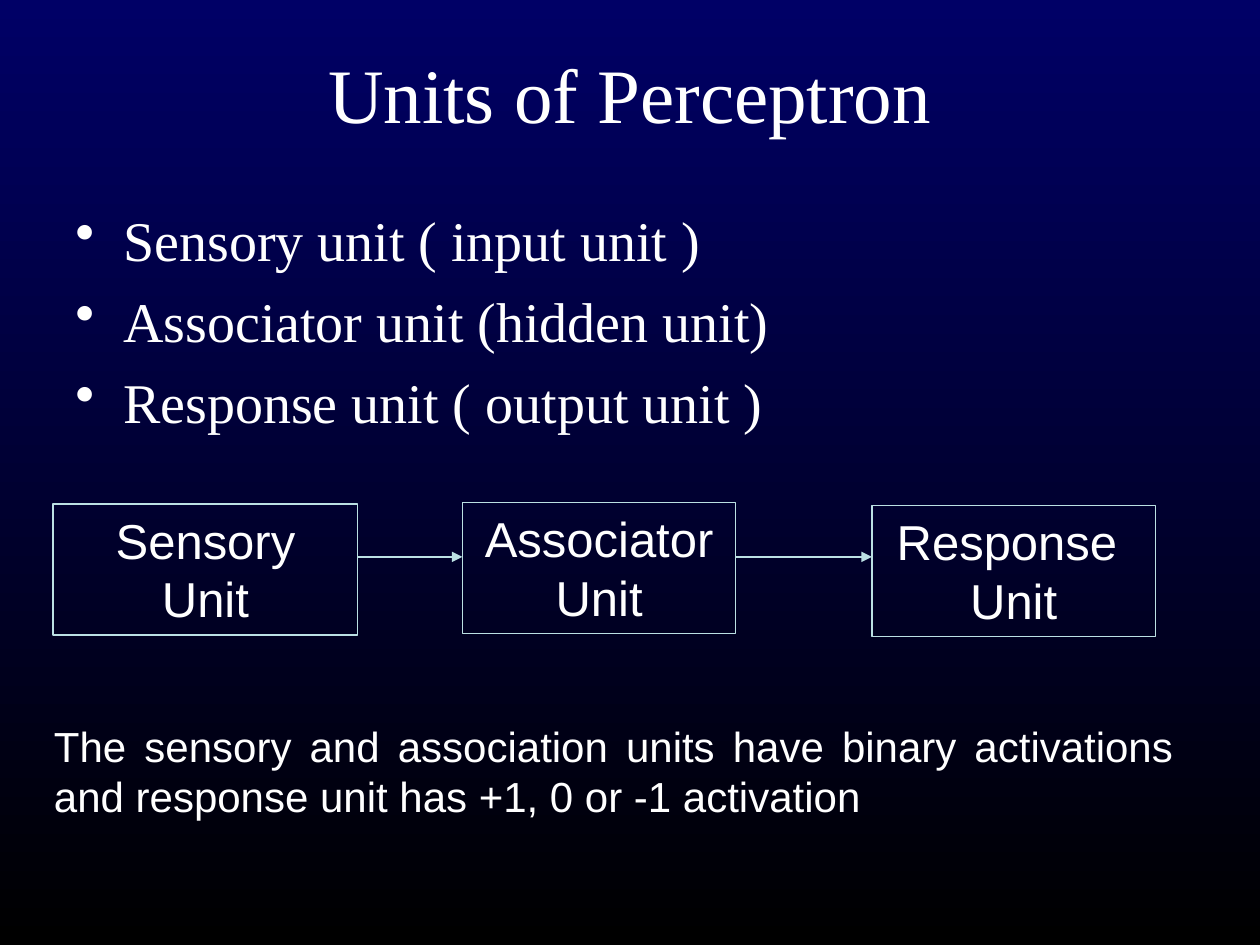
from dataclasses import dataclass

from lxml import etree
from pptx import Presentation
from pptx.dml.color import RGBColor
from pptx.enum import shapes, text
from pptx.oxml import ns
from pptx.util import Inches, Pt

HUES = {"top": "000066", "base": "000000", "text": "FFFFFF", "line": "BBE0E3"}
SERIF, SANS = "Times New Roman", "Arial"
ALIGN = text.PP_ALIGN


@dataclass
class Unit:
    label: str
    left: float
    top: float
    width: float
    height: float = 1.04

    @property
    def right(self) -> float:
        return self.left + self.width


UNITS = [
    Unit("Sensory\vUnit", 0.42, 4, 2.42),
    Unit("Associator\vUnit", 3.67, 3.99, 2.17),
    Unit("Response \vUnit", 6.92, 4.01, 2.25),
]
FLOW_Y = 4.42
POINTS = [
    "Sensory unit ( input unit )",
    "Associator unit (hidden unit)",
    "Response unit ( output unit )",
]
NOTE = ("The sensory and association units have binary activations "
        "and response unit has +1, 0 or -1 activation")


def hue(name: str) -> RGBColor:
    return RGBColor.from_string(HUES[name])


def style(para, font: str, size: float, align=None, before: float = 0) -> None:
    para.font.name, para.font.size = font, Pt(size)
    para.font.color.rgb = hue("text")
    para.alignment, para.space_before = align, Pt(before)


def paint(slide) -> None:
    """Fill the background with a gradient running from top to bottom."""
    fill = slide.background.fill
    fill.gradient()
    fill.gradient_angle = 270
    for stop, name, pos in zip(fill.gradient_stops, ("top", "base"), (0, 1)):
        stop.color.rgb = hue(name)
        stop.position = pos


def add_title(slide, words: str) -> None:
    title = slide.shapes.title
    title.left, title.top = Inches(0.5), Inches(0.3)
    title.width, title.height = Inches(9), Inches(0.87)
    frame = title.text_frame
    frame.text = words
    frame.vertical_anchor = text.MSO_ANCHOR.MIDDLE
    style(frame.paragraphs[0], SERIF, 44, ALIGN.CENTER)


def add_text(slide, left: float, top: float, width: float, height: float,
             words: str):
    box = slide.shapes.add_textbox(
        Inches(left), Inches(top), Inches(width), Inches(height))
    frame = box.text_frame
    frame.word_wrap = True
    frame.text = words
    return frame


def add_bullet(para) -> None:
    props = para._p.get_or_add_pPr()
    props.set("marL", str(Inches(0.38)))
    props.set("indent", str(Inches(-0.38)))
    etree.SubElement(props, ns.qn("a:buChar")).set("char", "•")


def add_unit(slide, unit: Unit) -> None:
    box = slide.shapes.add_shape(
        shapes.MSO_SHAPE.RECTANGLE, Inches(unit.left), Inches(unit.top),
        Inches(unit.width), Inches(unit.height))
    box.shadow.inherit = False
    box.fill.background()
    box.line.color.rgb, box.line.width = hue("line"), Pt(0.75)
    frame = box.text_frame
    frame.word_wrap = True
    frame.auto_size = text.MSO_AUTO_SIZE.SHAPE_TO_FIT_TEXT
    frame.vertical_anchor = text.MSO_ANCHOR.TOP
    frame.text = unit.label
    style(frame.paragraphs[0], SANS, 28, ALIGN.CENTER, 17.5)


def add_arrow(slide, start: Unit, end: Unit) -> None:
    link = slide.shapes.add_connector(
        shapes.MSO_CONNECTOR.STRAIGHT, Inches(start.right), Inches(FLOW_Y),
        Inches(end.left), Inches(FLOW_Y))
    link.line.color.rgb, link.line.width = hue("line"), Pt(0.75)
    tail = etree.SubElement(link.line._get_or_add_ln(), ns.qn("a:tailEnd"))
    tail.set("type", "triangle")
    etree.SubElement(link._element.spPr, ns.qn("a:effectLst"))


def main() -> None:
    deck = Presentation()
    deck.slide_width, deck.slide_height = Inches(10), Inches(7.5)
    slide = deck.slides.add_slide(deck.slide_layouts[5])
    paint(slide)
    add_title(slide, "Units of Perceptron")

    points = add_text(slide, 0.5, 1.58, 9, 2.17, "\n".join(POINTS))
    for para in points.paragraphs:
        style(para, SERIF, 32, before=8)
        add_bullet(para)

    for unit in UNITS:
        add_unit(slide, unit)
    for start, end in zip(UNITS, UNITS[1:]):
        add_arrow(slide, start, end)

    note = add_text(slide, 0.33, 5.67, 9.08, 0.9, NOTE)
    note.auto_size = text.MSO_AUTO_SIZE.SHAPE_TO_FIT_TEXT
    style(note.paragraphs[0], SANS, 24, ALIGN.JUSTIFY, 15)
    deck.save("out.pptx")


if __name__ == "__main__":
    main()
